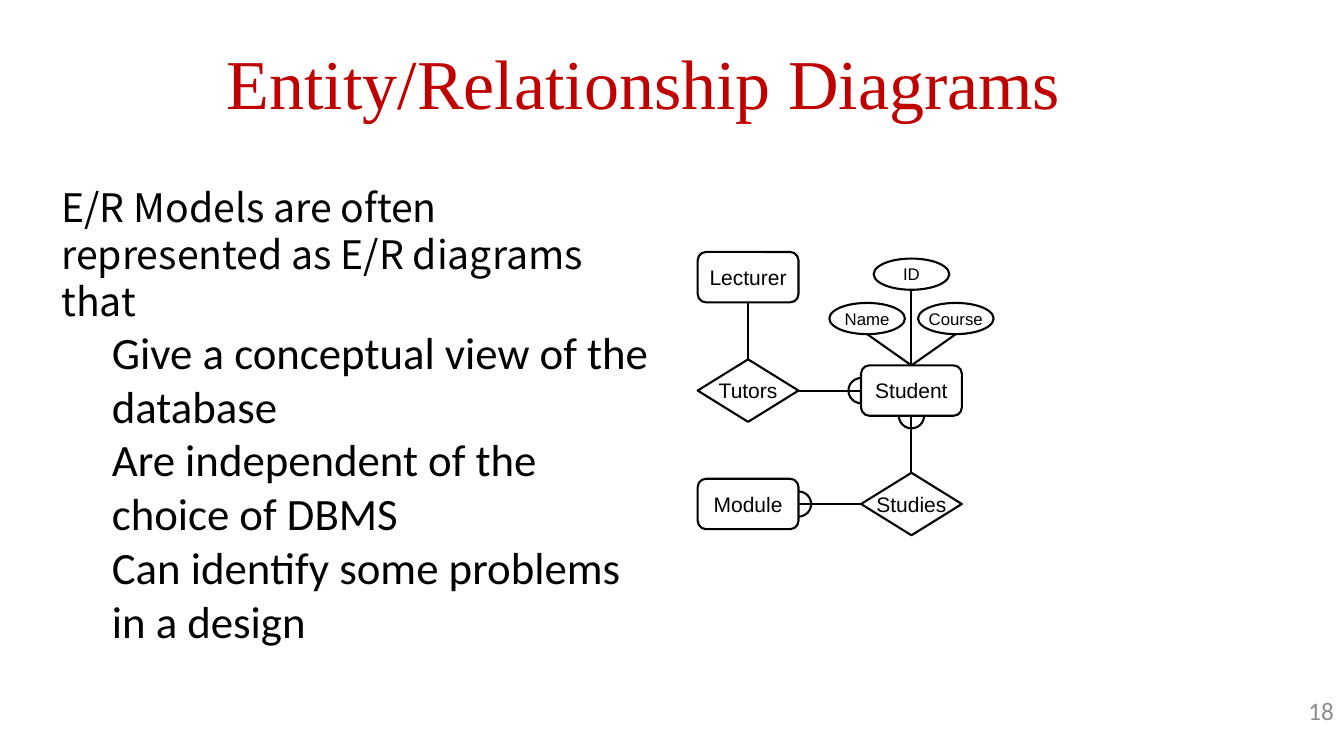
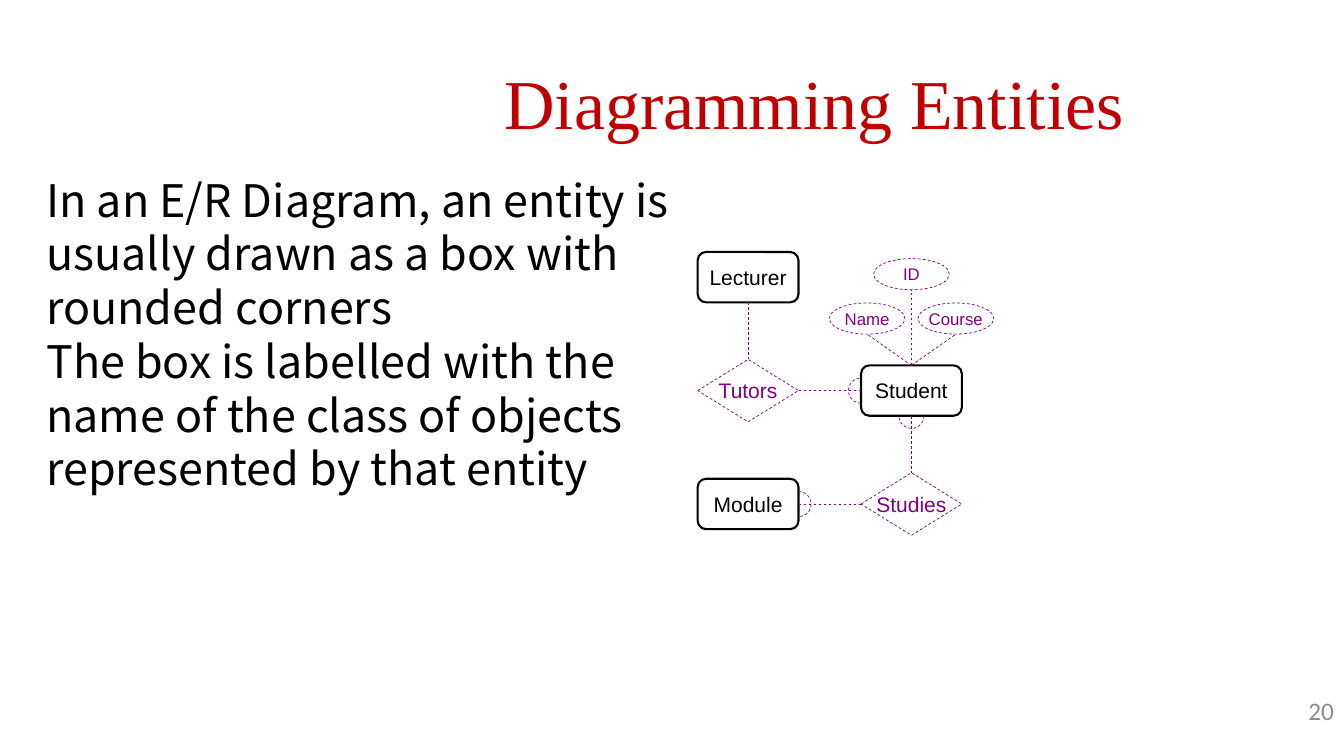
import pptx
import pptx.util
import pptx.dml.color
import pptx.enum.dml
import pptx.enum.shapes
import pptx.enum.text
import pptx.oxml.ns
from lxml import etree

Inches, Pt = pptx.util.Inches, pptx.util.Pt
MSO = pptx.enum.shapes.MSO_SHAPE
ALIGN = pptx.enum.text.PP_ALIGN
STRAIGHT = pptx.enum.shapes.MSO_CONNECTOR.STRAIGHT
DASH = pptx.enum.dml.MSO_LINE.DASH
TOP, LEFT, BOTTOM, RIGHT = range(4)

RED, BLACK, GREY, PURPLE = "C00000", "000000", "8C8C8C", "800080"
SOLID_STYLE = (BLACK, 1.5, None)
FADED_STYLE = (PURPLE, 0.5, DASH)

COL_1, COL_2 = 7.42, 9.04
ROW_1, ROW_GAP = 2.75, 1.125
ROW_2, ROW_3 = ROW_1 + ROW_GAP, ROW_1 + 2 * ROW_GAP
ENTITY_SIZE, DIAMOND_SIZE, OVAL_SIZE = (1, 0.5), (1, 0.62), (0.75, 0.31)
ARC_SIZE = 0.25

INTRO = ("Noto Sans CJK JP", 28, 0)
STATEMENT = ("Noto Sans CJK JP", 32, 0)
DETAIL = ("Calibri", 32, 0.5)


def rgb(color):
    return pptx.dml.color.RGBColor.from_string(color)


def set_font(p, name, size, color):
    p.font.name, p.font.size = name, Pt(size)
    p.font.color.rgb = rgb(color)


def set_line(line, style):
    color, width, dash = style
    line.color.rgb = rgb(color)
    line.width = Pt(width)
    if dash:
        line.dash_style = dash


def add_text_box(s, x, y, w, h):
    tf = s.shapes.add_textbox(Inches(x), Inches(y), Inches(w), Inches(h)).text_frame
    tf.word_wrap = True
    tf.margin_left = tf.margin_right = tf.margin_top = tf.margin_bottom = 0
    return tf


def add_label(s, box, text, font, size, color, align=ALIGN.LEFT):
    p = add_text_box(s, *box).paragraphs[0]
    p.text, p.alignment = text, align
    set_font(p, font, size, color)


def add_body(s, box, items):
    tf = add_text_box(s, *box)
    for i, (text, (font, size, indent)) in enumerate(items):
        p = tf.add_paragraph() if i else tf.paragraphs[0]
        p.text = text
        p.line_spacing = Pt(1.2 * size)
        set_font(p, font, size, BLACK)
        if indent:
            p._p.get_or_add_pPr().set("marL", str(Inches(indent)))


def add_outline(s, kind, cx, cy, size, style):
    w, h = size
    sp = s.shapes.add_shape(kind, Inches(cx - w / 2), Inches(cy - h / 2), Inches(w), Inches(h))
    sp.shadow.inherit = False
    sp.fill.background()
    set_line(sp.line, style)
    return sp


def add_node(s, kind, text, cx, cy, size, style, font_size=15):
    sp = add_outline(s, kind, cx, cy, size, style)
    tf = sp.text_frame
    tf.word_wrap = False
    tf.vertical_anchor = pptx.enum.text.MSO_ANCHOR.MIDDLE
    p = tf.paragraphs[0]
    p.text, p.alignment = text, ALIGN.CENTER
    set_font(p, "Arial", font_size, style[0])
    return sp


def add_half_circle(s, cx, cy, start, end, style):
    sp = add_outline(s, MSO.ARC, cx, cy, (ARC_SIZE, ARC_SIZE), style)
    for i, degrees in enumerate((start, end)):
        sp.adjustments[i] = degrees * 0.6


def add_link(s, start, start_site, style, end=None, end_site=None, point=(0, 0)):
    x, y = map(Inches, point)
    cn = s.shapes.add_connector(STRAIGHT, x, y, x, y)
    cn.begin_connect(start, start_site)
    if end is not None:
        cn.end_connect(end, end_site)
    set_line(cn.line, style)
    etree.SubElement(cn._element.spPr, pptx.oxml.ns.qn("a:effectLst"))


def add_er_diagram(s, style):
    def entity(text, cx, cy):
        return add_node(s, MSO.ROUNDED_RECTANGLE, text, cx, cy, ENTITY_SIZE, SOLID_STYLE)

    def relationship(text, cx, cy):
        return add_node(s, MSO.DIAMOND, text, cx, cy, DIAMOND_SIZE, style)

    student = entity("Student", COL_2, ROW_2)
    lecturer = entity("Lecturer", COL_1, ROW_1)
    module = entity("Module", COL_1, ROW_3)
    tutors = relationship("Tutors", COL_1, ROW_2)
    studies = relationship("Studies", COL_2, ROW_3)

    for start, start_site, end, end_site in (
        (lecturer, BOTTOM, tutors, TOP),
        (tutors, RIGHT, student, LEFT),
        (student, BOTTOM, studies, TOP),
        (module, RIGHT, studies, LEFT),
    ):
        add_link(s, start, start_site, style, end, end_site)

    half_w, half_h = ENTITY_SIZE[0] / 2, ENTITY_SIZE[1] / 2
    add_half_circle(s, COL_1 + half_w, ROW_3, 270, 90, style)
    add_half_circle(s, COL_2 - half_w, ROW_2, 90, 270, style)
    add_half_circle(s, COL_2, ROW_2 + half_h, 0, 180, style)

    for text, dx, cy in (("ID", 0, 2.72), ("Course", 0.44, 3.16), ("Name", -0.44, 3.16)):
        cx = COL_2 + dx
        add_node(s, MSO.OVAL, text, cx, cy, OVAL_SIZE, style, 12)
        add_link(s, student, TOP, style, point=(cx, cy + OVAL_SIZE[1] / 2))


def add_er_slide(prs, title, title_box, body_box, items, number, style):
    s = prs.slides.add_slide(prs.slide_layouts[6])
    add_label(s, title_box, title, "Times New Roman", 50, RED)
    add_body(s, body_box, items)
    add_label(s, (12.56, 6.9, 0.67, 0.52), number, "Calibri", 18, GREY, ALIGN.RIGHT)
    add_er_diagram(s, style)


def main():
    prs = pptx.Presentation()
    prs.slide_width, prs.slide_height = Inches(13.33), Inches(7.5)
    add_er_slide(
        prs, "Entity/Relationship Diagrams", (2.25, 0.39, 8.92, 1.06), (0.61, 1.82, 5.96, 5.1),
        [
            ("E/R Models are often represented as E/R diagrams that", INTRO),
            ("Give a conceptual view of the database", DETAIL),
            ("Are independent of the choice of DBMS", DETAIL),
            ("Can identify some problems in a design", DETAIL),
        ],
        "18", SOLID_STYLE)
    add_er_slide(
        prs, "Diagramming Entities", (5, 0.59, 7.92, 1.68), (0.46, 1.71, 6.18, 5.1),
        [
            ("In an E/R Diagram, an entity is usually drawn as a box with rounded corners", STATEMENT),
            ("The box is labelled with the name of the class of objects represented by that entity", STATEMENT),
        ],
        "20", FADED_STYLE)
    prs.save("out.pptx")


if __name__ == "__main__":
    main()
